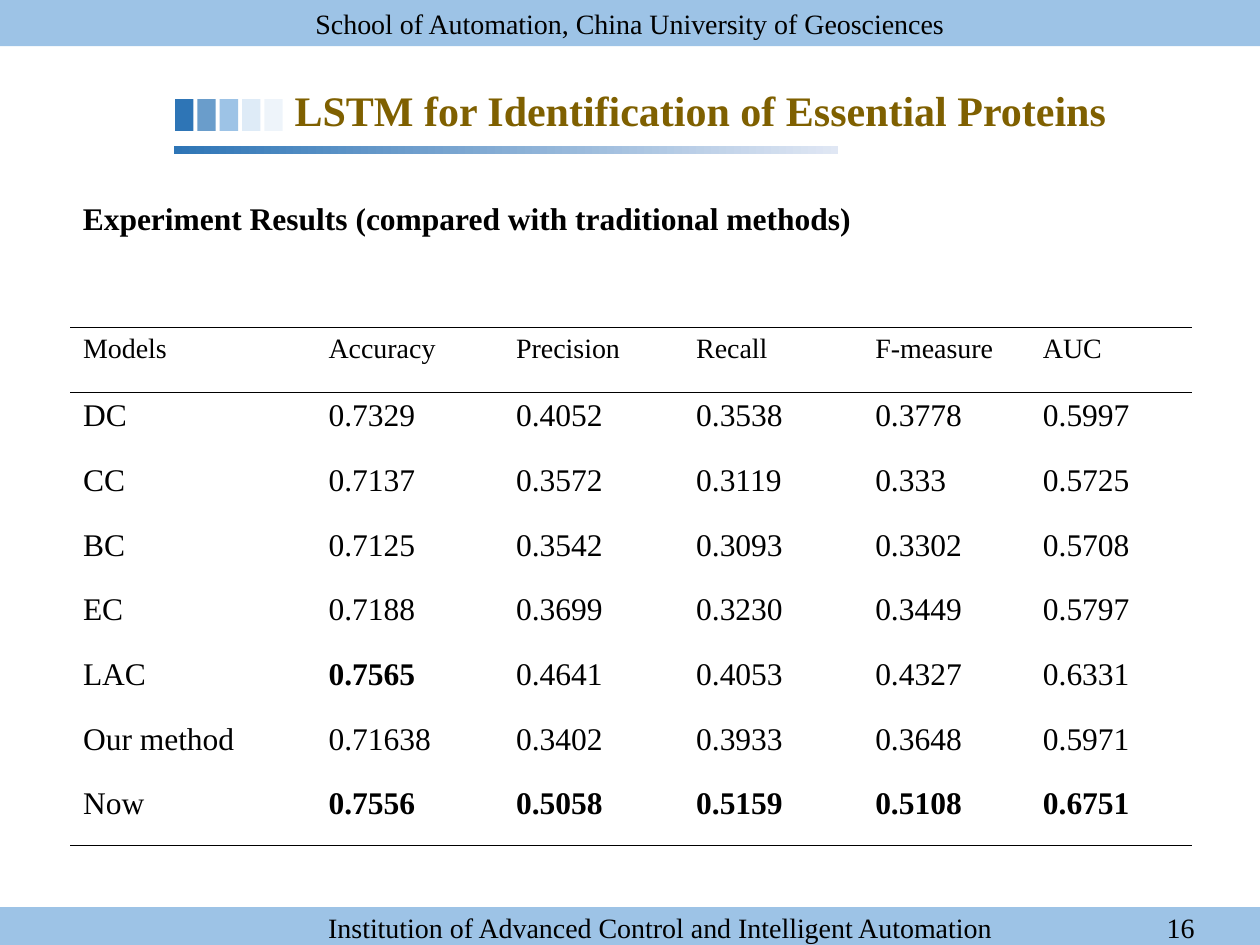
from pptx import Presentation
from pptx.dml.color import RGBColor
from pptx.enum.shapes import MSO_SHAPE as Shape
from pptx.enum.text import MSO_ANCHOR as Anchor, PP_ALIGN as Align
from pptx.oxml.ns import qn
from pptx.util import Cm, Pt
from lxml.etree import SubElement

FONT = "Times New Roman"
COLORS = {
    "band": "9DC3E6",
    "blue": "2E75B6",
    "pale": "DEEBF7",
    "fade": "E0E7F4",
    "title": "7F6000",
    "black": "000000",
    "white": "FFFFFF",
}

# Marker squares beside the title: colour and opacity in percent
SQUARES = [("blue", 100), ("blue", 71), ("band", 100), ("pale", 100), ("pale", 50)]

HEADER = ["Models", "Accuracy", "Precision", "Recall", "F-measure", "AUC"]
RESULTS = [
    ["DC", "0.7329", "0.4052", "0.3538", "0.3778", "0.5997"],
    ["CC", "0.7137", "0.3572", "0.3119", "0.333", "0.5725"],
    ["BC", "0.7125", "0.3542", "0.3093", "0.3302", "0.5708"],
    ["EC", "0.7188", "0.3699", "0.3230", "0.3449", "0.5797"],
    ["LAC", "0.7565", "0.4641", "0.4053", "0.4327", "0.6331"],
    ["Our method", "0.71638", "0.3402", "0.3933", "0.3648", "0.5971"],
    ["Now", "0.7556", "0.5058", "0.5159", "0.5108", "0.6751"],
]
BOLD_VALUES = {"0.7565", *RESULTS[-1][1:]}
COLUMN_WIDTHS = [4.95, 3.78, 3.63, 3.61, 3.38, 3.25]


def rgb(name):
    return RGBColor.from_string(COLORS[name])


def write_text(frame, text, size=16, color="black", bold=False, align=Align.LEFT):
    paragraph = frame.paragraphs[0]
    paragraph.alignment = align
    run = paragraph.add_run()
    run.text = text
    font = run.font
    font.name, font.size, font.bold = FONT, Pt(size), bold
    font.color.rgb = rgb(color)


def add_bar(slide, left, top, width, height, color, opacity=100):
    shape = slide.shapes.add_shape(
        Shape.RECTANGLE, Cm(left), Cm(top), Cm(width), Cm(height))
    shape.shadow.inherit = False
    shape.line.fill.background()
    shape.fill.solid()
    shape.fill.fore_color.rgb = rgb(color)
    if opacity < 100:
        fill_color = next(shape.element.spPr.iter(qn("a:srgbClr")))
        SubElement(fill_color, qn("a:alpha"), val=str(opacity * 1000))
    return shape


def fade_bar(shape, start, end):
    shape.fill.gradient()
    shape.fill.gradient_angle = 0
    for stop, position, color in zip(shape.fill.gradient_stops, (0, 1), (start, end)):
        stop.position = position
        stop.color.rgb = rgb(color)


def add_label(slide, left, top, width, height, text, anchor=Anchor.TOP,
              right_inset=0.25, **text_format):
    box = slide.shapes.add_textbox(Cm(left), Cm(top), Cm(width), Cm(height))
    frame = box.text_frame
    frame.word_wrap = True
    frame.vertical_anchor = anchor
    frame.margin_right = Cm(right_inset)
    write_text(frame, text, **text_format)


def set_borders(cell, ruled):
    properties = cell._tc.get_or_add_tcPr()
    for side in "LRTB":
        line = SubElement(properties, qn(f"a:ln{side}"), w=str(Pt(0.45)))
        if side in ruled:
            fill = SubElement(line, qn("a:solidFill"))
            SubElement(fill, qn("a:srgbClr"), val=COLORS["black"])
        else:
            SubElement(line, qn("a:noFill"))


def add_results_table(slide, left, top, height):
    rows = [HEADER, *RESULTS]
    table = slide.shapes.add_table(
        len(rows), len(HEADER), Cm(left), Cm(top),
        Cm(sum(COLUMN_WIDTHS)), Cm(height)).table
    table.first_row = table.horz_banding = False
    for column, width in zip(table.columns, COLUMN_WIDTHS):
        column.width = Cm(width)

    # Rules above and below the header, and under the last row
    rules = {0: "TB", 1: "T", len(rows) - 1: "B"}
    for row_index, values in enumerate(rows):
        for column_index, value in enumerate(values):
            cell = table.cell(row_index, column_index)
            set_borders(cell, rules.get(row_index, ""))
            if row_index in (0, 2):
                cell.fill.background()
            else:
                cell.fill.solid()
                cell.fill.fore_color.rgb = rgb("white")
            write_text(cell.text_frame, value, size=18 if row_index else 16,
                       bold=value in BOLD_VALUES)


def main():
    presentation = Presentation()
    presentation.slide_width, presentation.slide_height = Cm(25.4), Cm(19.05)
    slide = presentation.slides.add_slide(presentation.slide_layouts[6])

    # Header and footer bands
    header = add_bar(slide, 0, 0, 25.4, 0.93, "band")
    header.text_frame.vertical_anchor = Anchor.MIDDLE
    write_text(header.text_frame, "School of Automation, China University of Geosciences",
               align=Align.CENTER)
    add_bar(slide, 0, 18.29, 25.4, 0.76, "band")

    # Title decoration
    for index, (color, opacity) in enumerate(SQUARES):
        add_bar(slide, 3.53 + 0.45 * index, 2, 0.37, 0.64, color, opacity)
    underline = add_bar(slide, 3.51, 2.95, 13.39, 0.15, "blue")
    fade_bar(underline, "blue", "fade")

    # Footer text and page number
    add_label(slide, 5.69, 18.19, 15.67, 1.02,
              "Institution of Advanced Control and Intelligent Automation",
              anchor=Anchor.MIDDLE, right_inset=0.68, align=Align.CENTER)
    add_label(slide, 22.73, 18.19, 1.6, 1.02, "16",
              anchor=Anchor.MIDDLE, align=Align.RIGHT)

    # Heading and title
    add_label(slide, 1.42, 3.89, 20.83, 2.54,
              "Experiment Results (compared with traditional methods)",
              size=18, bold=True)
    add_label(slide, 5.69, 1.57, 23.22, 1.27,
              "LSTM for Identification of Essential Proteins",
              size=24, color="title", bold=True)

    # Results
    add_results_table(slide, 1.42, 6.6, 10.44)

    presentation.save("out.pptx")


if __name__ == "__main__":
    main()
